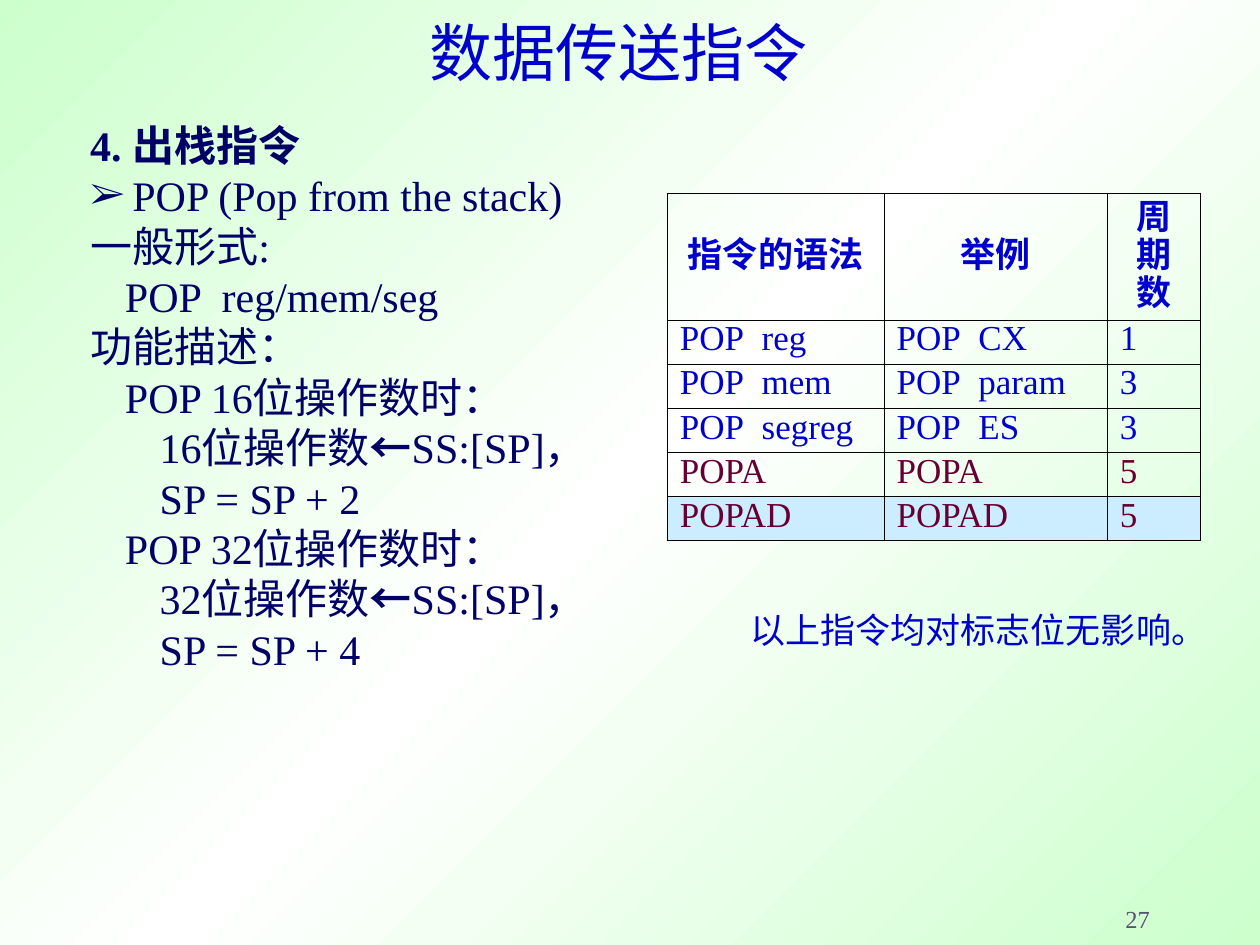
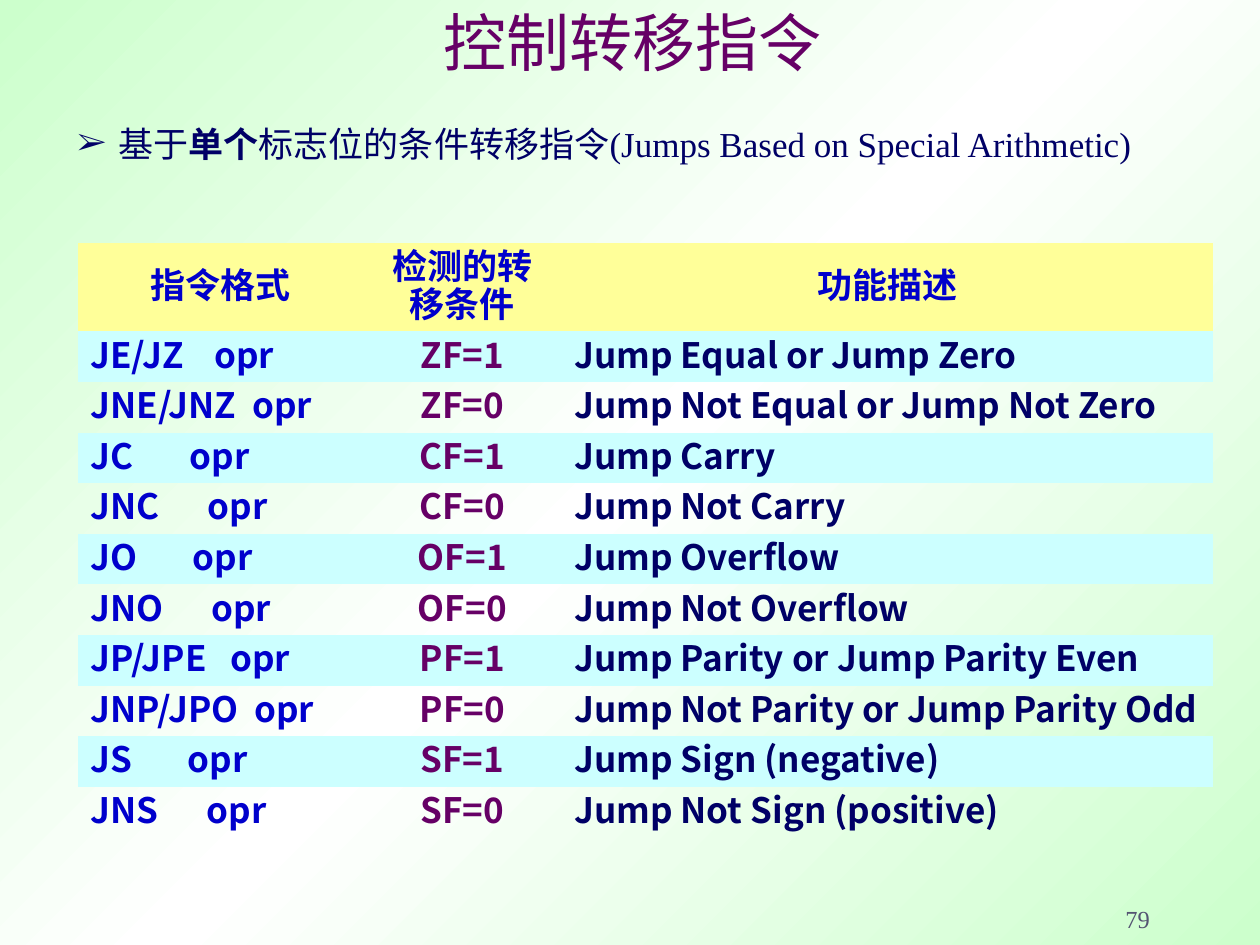
from copy import deepcopy
from dataclasses import dataclass
from typing import Optional

import pptx
import pptx.dml.color
import pptx.enum.text
import pptx.oxml
import pptx.oxml.ns
import pptx.util
from lxml import etree

Cm = pptx.util.Cm
Pt = pptx.util.Pt
Align = pptx.enum.text.PP_ALIGN
Anchor = pptx.enum.text.MSO_ANCHOR
qn = pptx.oxml.ns.qn

COLORS = {
    "mint": "CCFFCC", "white": "FFFFFF", "black": "000000", "gray": "545472",
    "blue": "0000CC", "navy": "000066", "purple": "660066", "maroon": "660033",
    "sky": "CCECFF", "cyan": "CCFFFF", "yellow": "FFFF99",
}
SERIF = "Times New Roman"
SANS = "Noto Sans CJK SC"
PLAIN_TABLE = "{2D5ABB26-0587-4C30-8999-92F81FD0307C}"
BORDER_WIDTH = Pt(0.34)
LEVEL_INDENT = 0.7
OPERAND_INDENT = 1.65


@dataclass(frozen=True)
class Box:
    left: float
    top: float
    width: float
    height: float


@dataclass(frozen=True)
class Style:
    size: float
    color: str
    font: str = SERIF
    align: Align = Align.LEFT
    spacing: Optional[float] = None
    before: float = 0


@dataclass(frozen=True)
class Line:
    text: str
    bold: str = ""
    indent: float = 0
    hanging: float = 0
    bullet: bool = False


@dataclass(frozen=True)
class Row:
    cells: tuple[str, ...]
    colors: tuple[str, ...]
    aligns: tuple[Align, ...] = (Align.LEFT,) * 3
    bold: bool = False
    fill: str = ""
    operand: float = OPERAND_INDENT


@dataclass(frozen=True)
class Grid:
    left: float
    top: float
    widths: tuple[float, ...]
    header_height: float
    row_height: float
    rows: list[Row]
    font: str
    bordered: bool = False


def rgb(name: str) -> pptx.dml.color.RGBColor:
    return pptx.dml.color.RGBColor.from_string(COLORS[name])


def child(parent, tag: str, **attributes: str):
    element = etree.SubElement(parent, qn(tag))
    for name, value in attributes.items():
        element.set(name, value)
    return element


def write_line(paragraph, line: Line, style: Style) -> None:
    paragraph.alignment = style.align
    paragraph.space_before = Pt(style.before)
    if style.spacing:
        paragraph.line_spacing = style.spacing
    properties = paragraph._p.get_or_add_pPr()
    properties.set("marL", str(Cm(line.indent)))
    properties.set("indent", str(-Cm(line.hanging)))
    if line.bullet:
        child(child(properties, "a:buClr"), "a:srgbClr", val=COLORS[style.color])
        child(properties, "a:buSzPct", val="90000")
        child(properties, "a:buFont", typeface=SERIF)
        child(properties, "a:buChar", char="➢")
    pieces = line.text.partition(line.bold) if line.bold else (line.text,)
    for position, piece in enumerate(pieces):
        if not piece:
            continue
        run = paragraph.add_run()
        run.text = piece
        run.font.size = Pt(style.size)
        run.font.bold = position == 1
        run.font.name = style.font
        run.font.color.rgb = rgb(style.color)
        child(run._r.get_or_add_rPr(), "a:ea", typeface=SANS)


def add_text(slide, box: Box, lines: list[Line], style: Style,
             anchor: Anchor = Anchor.TOP, wrap: bool = True) -> None:
    frame = slide.shapes.add_textbox(
        Cm(box.left), Cm(box.top), Cm(box.width), Cm(box.height)).text_frame
    frame.word_wrap = wrap
    frame.vertical_anchor = anchor
    for number, line in enumerate(lines):
        paragraph = frame.add_paragraph() if number else frame.paragraphs[0]
        write_line(paragraph, line, style)


def add_borders(cell) -> None:
    properties = cell._tc.get_or_add_tcPr()
    for position, side in enumerate(("a:lnL", "a:lnR", "a:lnT", "a:lnB")):
        border = etree.Element(qn(side), w=str(BORDER_WIDTH))
        child(child(border, "a:solidFill"), "a:srgbClr", val=COLORS["black"])
        properties.insert(position, border)


def add_grid(slide, grid: Grid) -> None:
    heights = [grid.header_height] + [grid.row_height] * (len(grid.rows) - 1)
    table = slide.shapes.add_table(
        len(heights), len(grid.widths), Cm(grid.left), Cm(grid.top),
        Cm(sum(grid.widths)), Cm(sum(heights))).table
    table.first_row = table.horz_banding = False
    table._tbl.find(".//" + qn("a:tableStyleId")).text = PLAIN_TABLE
    for column, width in zip(table.columns, grid.widths):
        column.width = Cm(width)
    for table_row, height, row in zip(table.rows, heights, grid.rows):
        table_row.height = Cm(height)
        for cell, text, color, align in zip(table_row.cells, row.cells, row.colors, row.aligns):
            cell.vertical_anchor = Anchor.MIDDLE
            if row.fill:
                cell.fill.solid()
                cell.fill.fore_color.rgb = rgb(row.fill)
            else:
                cell.fill.background()
            if grid.bordered:
                add_borders(cell)
            operand = row.operand if "\t" in text else 0
            line = Line(text, bold=text if row.bold else "", indent=operand, hanging=operand)
            style = Style(20, color, grid.font, align, spacing=0.75)
            write_line(cell.text_frame.paragraphs[0], line, style)


def paint_background(presentation) -> None:
    master = presentation.slide_master
    fill = master.background.fill
    fill.gradient()
    fill.gradient_angle = 315
    stops = master.element.find(".//" + qn("p:bg")).find(".//" + qn("a:gsLst"))
    stops.insert(1, deepcopy(stops[0]))
    for stop, position, color in zip(fill.gradient_stops, (0, 0.5, 1), ("mint", "white", "mint")):
        stop.position = position
        stop.color.rgb = rgb(color)


def add_page(presentation, title: str, title_box: Box, title_color: str, number: int):
    slide = presentation.slides.add_slide(presentation.slide_layouts[6])
    add_text(slide, Box(18.15, 17.68, 5.28, 1.27), [Line(str(number))],
             Style(14, "gray", align=Align.RIGHT), Anchor.BOTTOM)
    add_text(slide, title_box, [Line(title)],
             Style(36, title_color, SANS, Align.CENTER), Anchor.BOTTOM)
    return slide


def build_pop_slide(presentation) -> None:
    slide = add_page(presentation, "数据传送指令 ", Box(1.9, 0.53, 21.41, 1.4), "blue", 27)
    blue, maroon = ("blue",) * 3, ("maroon",) * 3
    add_grid(slide, Grid(13.45, 3.89, (4.37, 4.5, 1.88), 2.56, 0.89, [
        Row(("指令的语法", "举例", "周期数"), blue, (Align.CENTER,) * 3, bold=True),
        Row(("POP\treg", "POP\tCX", "1"), blue),
        Row(("POP\tmem", "POP\tparam", "3"), blue),
        Row(("POP\tsegreg", "POP\tES", "3"), blue),
        Row(("POPA", "POPA", "5"), maroon),
        Row(("POPAD", "POPAD", "5"), maroon, fill="sky"),
    ], SERIF, bordered=True))

    heading = "4. 出栈指令"
    lines = [
        Line(heading, bold=heading),
        Line("POP (Pop from the stack)", indent=0.85, hanging=0.85, bullet=True),
        Line("一般形式:"),
        Line("POP\treg/mem/seg", indent=2.65, hanging=2.65 - LEVEL_INDENT),
        Line("功能描述："),
    ]
    for bits, step in ((16, 2), (32, 4)):
        lines += [
            Line(f"POP {bits}位操作数时：", indent=LEVEL_INDENT),
            Line(f"{bits}位操作数←SS:[SP]，", bold="←", indent=2 * LEVEL_INDENT),
            Line(f"SP = SP + {step}", indent=2 * LEVEL_INDENT),
        ]
    add_text(slide, Box(1.57, 2.28, 11.28, 11.43), lines, Style(24, "navy", spacing=Pt(28.8)))
    add_text(slide, Box(14.72, 12.15, 9.88, 1.12), [Line(" 以上指令均对标志位无影响。")],
             Style(20, "blue", SANS), wrap=False)


def build_jump_slide(presentation) -> None:
    slide = add_page(presentation, "控制转移指令", Box(1.96, 0.53, 21.59, 1.19), "purple", 79)
    topic = Line("基于单个标志位的条件转移指令(Jumps Based on Special Arithmetic)",
                 bold="单个", indent=1.2, hanging=0.83, bullet=True)
    add_text(slide, Box(0.94, 2.51, 23.39, 1.12), [topic],
             Style(20, "navy", spacing=0.8, before=5))

    jumps = [
        ("JE/JZ", 2.5, "ZF=1", "Jump Equal or Jump Zero"),
        ("JNE/JNZ", 3.26, "ZF=0", "Jump Not Equal or Jump Not Zero"),
        ("JC", 2, "CF=1", "Jump Carry"),
        ("JNC", 2.36, "CF=0", "Jump Not Carry"),
        ("JO", 2.06, "OF=1", "Jump Overflow"),
        ("JNO", 2.44, "OF=0", "Jump Not Overflow"),
        ("JP/JPE", 2.82, "PF=1", "Jump Parity or Jump Parity Even"),
        ("JNP/JPO", 3.3, "PF=0", "Jump Not Parity or Jump Parity Odd"),
        ("JS", 1.96, "SF=1", "Jump Sign (negative)"),
        ("JNS", 2.34, "SF=0", "Jump Not Sign (positive)"),
    ]
    rows = [Row(("指令格式", "检测的转移条件", "功能描述"), ("blue",) * 3,
                (Align.CENTER,) * 3, bold=True, fill="yellow")]
    for number, (mnemonic, operand, condition, meaning) in enumerate(jumps):
        rows.append(Row((f"{mnemonic}\topr", condition, meaning), ("blue", "purple", "navy"),
                        (Align.LEFT, Align.CENTER, Align.LEFT), bold=True,
                        fill="" if number % 2 else "cyan", operand=operand))
    add_grid(slide, Grid(1.57, 4.9, (5.75, 4, 13.14), 1.78, 1.02, rows, SANS))


def main() -> None:
    presentation = pptx.Presentation()
    presentation.slide_width = Cm(25.4)
    presentation.slide_height = Cm(19.05)
    paint_background(presentation)
    build_pop_slide(presentation)
    build_jump_slide(presentation)
    presentation.save("out.pptx")


if __name__ == "__main__":
    main()
